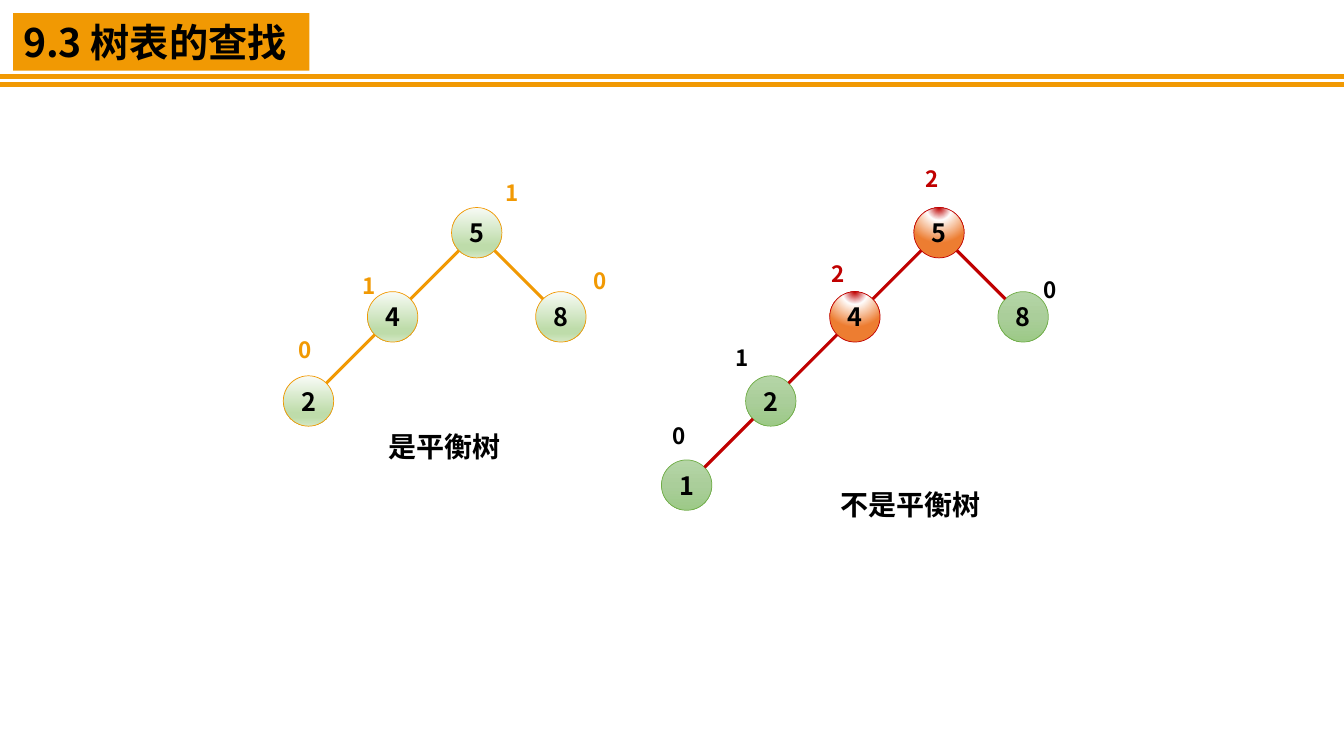
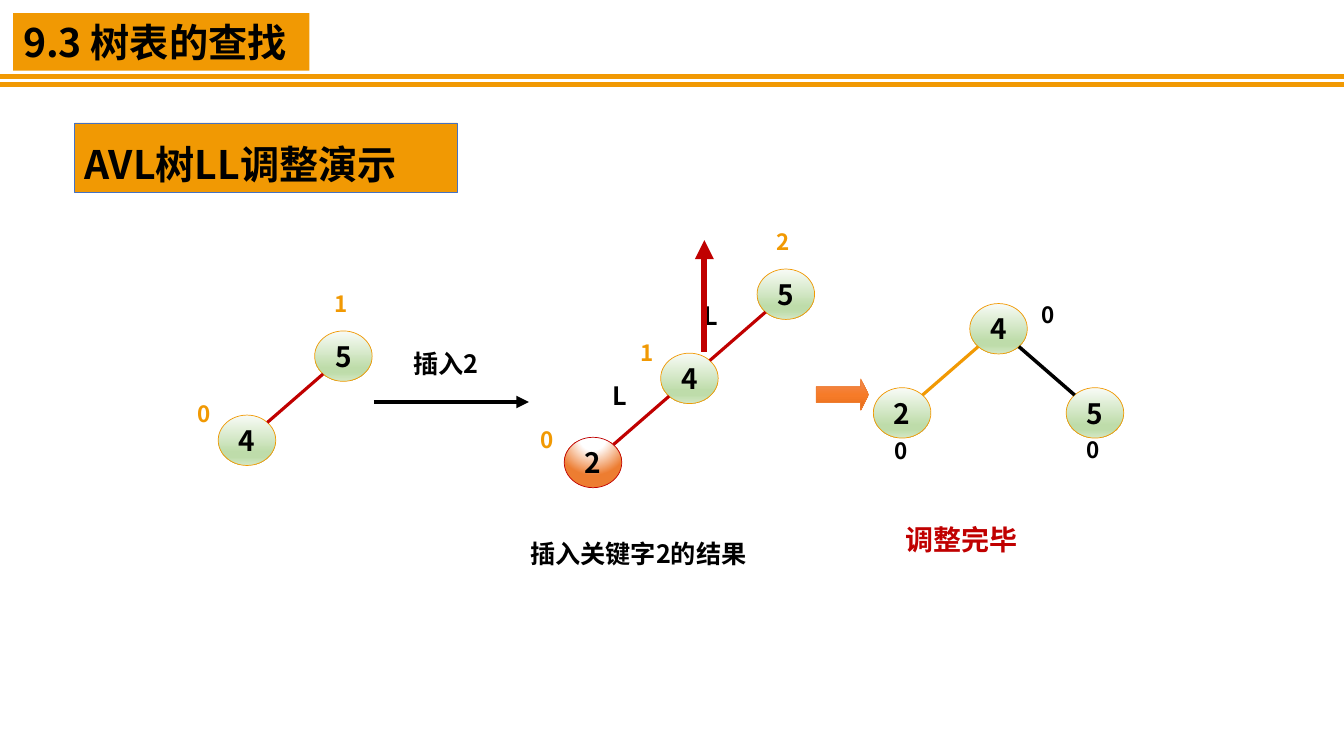
"""Build two slides on balanced search trees and the LL rotation."""
from collections import namedtuple
from math import sqrt

from pptx import Presentation
from pptx import util as u
from pptx.dml.color import RGBColor
from pptx.enum import shapes as kinds, text as t
from pptx.oxml import parse_xml
from pptx.oxml.ns import nsdecls, qn

FONT = "Noto Sans CJK SC"
WIDTH, HEIGHT = 33.87, 19.05
COLOURS = {
    "orange": "F19903", "red": "C00000", "black": "000000",
    "green": "70AD47", "blue": "4472C4", "rust": "ED7D31",
}
LINEAR = '<a:lin ang="5400000" scaled="0"/>'
RADIAL = ('<a:path path="circle"><a:fillToRect l="50000" t="-80000" '
          'r="50000" b="180000"/></a:path>')
GRADIENTS = {
    "pale": ([(0, "F8FBF6"), (74, "BEDCAA"), (83, "BEDCAA"), (100, "D4E8C6")], LINEAR),
    "leaf": ([(0, "B5D5A7"), (50, "AACE9A"), (100, "9CC987")], LINEAR),
    "alert": ([(0, "C00000"), (35, "FFFFFF"), (100, "ED7D31")], RADIAL),
    "inserted": ([(0, "FFFFFF"), (35, "FFFFFF"), (100, "ED7D31")], RADIAL),
    "arrow": ([(0, "F18C57"), (50, "F67B28"), (100, "E56C19")], LINEAR),
}
NODE_STYLES = {
    "pale": ("pale", "orange"), "leaf": ("leaf", "green"),
    "alert": ("alert", "red"), "inserted": ("inserted", "red"),
}
Node = namedtuple("Node", "key column row style factor shift colour")
Grid = namedtuple("Grid", "width height step_x step_y size")
SMALL_GRID = Grid(1.27, 1.27, 2.12, 2.12, 18)
WIDE_GRID = Grid(1.45, 1.27, 2.43, 2.12, 20)


def colour_of(name):
    """Return the colour of a palette name."""
    return RGBColor.from_string(COLOURS[name])


def write(shape, content, size=18, colour="black", align=t.PP_ALIGN.LEFT,
          anchor=t.MSO_ANCHOR.TOP, margins=(0.25, 0.13), wrap=True, spacing=None):
    """Write one formatted paragraph into a shape."""
    frame = shape.text_frame
    frame.auto_size = t.MSO_AUTO_SIZE.NONE
    frame.word_wrap = wrap
    frame.vertical_anchor = anchor
    frame.margin_left = frame.margin_right = u.Cm(margins[0])
    frame.margin_top = frame.margin_bottom = u.Cm(margins[1])
    paragraph = frame.paragraphs[0]
    paragraph.alignment = align
    paragraph.line_spacing = spacing
    run = paragraph.add_run()
    run.text = content
    run.font.name = FONT
    run.font.size = u.Pt(size)
    run.font.bold = True
    run.font.color.rgb = colour_of(colour)
    east_asian = parse_xml(f'<a:ea {nsdecls("a")} typeface="{FONT}"/>')
    run.font._element.find(qn("a:latin")).addnext(east_asian)


def add_label(shapes, content, left, top, width, height, **style):
    """Add a text box."""
    box = shapes.add_textbox(u.Cm(left), u.Cm(top), u.Cm(width), u.Cm(height))
    write(box, content, **style)


def add_block(shapes, kind, left, top, width, height, line, fill=None, gradient=None):
    """Add a preset shape with a plain or gradient fill and a thin outline."""
    shape = shapes.add_shape(kind, u.Cm(left), u.Cm(top), u.Cm(width), u.Cm(height))
    shape.shadow.inherit = False
    if gradient:
        stops, direction = GRADIENTS[gradient]
        marks = "".join(f'<a:gs pos="{place * 1000}"><a:srgbClr val="{value}"/></a:gs>'
                        for place, value in stops)
        outline = shape.element.spPr.find(qn("a:prstGeom"))
        outline.addnext(parse_xml(f'<a:gradFill {nsdecls("a")} rotWithShape="1">'
                                  f'<a:gsLst>{marks}</a:gsLst>{direction}</a:gradFill>'))
    else:
        shape.fill.solid()
        shape.fill.fore_color.rgb = colour_of(fill)
    shape.line.color.rgb = colour_of(line)
    shape.line.width = u.Pt(0.5)
    return shape


def add_line(shapes, start, end, colour, width, arrow=False):
    """Add a straight line, with an arrowhead at its end if wanted."""
    line = shapes.add_connector(kinds.MSO_CONNECTOR.STRAIGHT,
                                *(u.Cm(value) for value in (*start, *end)))
    line.line.color.rgb = colour_of(colour)
    line.line.width = u.Pt(width)
    if arrow:
        line.line._get_or_add_ln().append(
            parse_xml(f'<a:tailEnd {nsdecls("a")} type="triangle"/>'))
    line.element.spPr.append(parse_xml(f'<a:effectLst {nsdecls("a")}/>'))
    return line


def add_tree(slide, left, top, grid, nodes, edges):
    """Draw a tree as a group, with its root node's box at left and top."""
    shapes = slide.shapes.add_group_shape().shapes
    corners = {}
    for node in nodes:
        x = left + node.column * grid.step_x
        y = top + node.row * grid.step_y
        corners[node.key] = x, y
        gradient, line = NODE_STYLES[node.style]
        circle = add_block(shapes, kinds.MSO_SHAPE.OVAL, x, y, grid.width, grid.height,
                           line, gradient=gradient)
        write(circle, node.key, size=grid.size, align=t.PP_ALIGN.CENTER,
              anchor=t.MSO_ANCHOR.MIDDLE, wrap=False)
    reach_x, reach_y = (side / 2 * sqrt(0.5) for side in (grid.width, grid.height))
    for parent, child, colour, width in edges:
        (px, py), (cx, cy) = ((x + grid.width / 2, y + grid.height / 2)
                              for x, y in (corners[parent], corners[child]))
        side = 1 if cx > px else -1
        add_line(shapes, (px + side * reach_x, py + reach_y),
                 (cx - side * reach_x, cy - reach_y), colour, width)
    for node in nodes:
        x, y = corners[node.key]
        add_label(shapes, node.factor, x + node.shift[0], y + node.shift[1] - 0.1,
                  0.5, 0.8, size=16, colour=node.colour, margins=(0, 0))


def add_bands(slide):
    """Put the double rule on the layout that the slides share."""
    for height in (1.93, 2.13):
        rule = add_line(slide.shapes, (0, height), (WIDTH, height), "orange", 3)
        slide.slide_layout.shapes.element.append(rule.element)


def add_titled_slide(presentation):
    """Add a slide with the section title on its orange plate."""
    slide = presentation.slides.add_slide(presentation.slide_layouts[5])
    title = slide.shapes.title
    title.left, title.top = u.Cm(0.33), u.Cm(0.33)
    title.width, title.height = u.Cm(7.47), u.Cm(1.45)
    title.fill.solid()
    title.fill.fore_color.rgb = colour_of("orange")
    write(title, "9.3 树表的查找", size=28, anchor=t.MSO_ANCHOR.MIDDLE)
    return slide


def build_comparison(slide):
    """Set a balanced tree beside an unbalanced one."""
    add_tree(slide, 11.38, 5.23, SMALL_GRID, [
        Node("5", 0, 0, "pale", "1", (1.37, -0.61), "orange"),
        Node("4", -1, 1, "pale", "1", (-0.13, -0.38), "orange"),
        Node("8", 1, 1, "pale", "0", (1.45, -0.51), "orange"),
        Node("2", -2, 2, "pale", "0", (0.38, -0.91), "orange"),
    ], [(*pair, "orange", 2.25) for pair in ("54", "42", "58")])
    add_label(slide.shapes, "是平衡树", 9.53, 10.7, 4.24, 1.2, size=20)
    add_tree(slide, 23.03, 5.23, SMALL_GRID, [
        Node("5", 0, 0, "alert", "2", (0.3, -0.97), "red"),
        Node("4", -1, 1, "alert", "2", (0.05, -0.69), "red"),
        Node("8", 1, 1, "leaf", "0", (1.14, -0.28), "black"),
        Node("2", -2, 2, "leaf", "1", (-0.25, -0.71), "black"),
        Node("1", -3, 3, "leaf", "0", (0.28, -0.84), "black"),
    ], [(*pair, "red", 2.25) for pair in ("54", "42", "21", "58")])
    add_label(slide.shapes, "不是平衡树", 20.93, 12.15, 7.42, 1.2, size=20)


def build_rotation(slide):
    """Show the LL rotation in three steps from left to right."""
    heading = add_block(slide.shapes, kinds.MSO_SHAPE.RECTANGLE, 1.88, 3.1, 9.65, 1.75,
                        "blue", fill="orange")
    write(heading, "AVL树LL调整演示", size=28, spacing=1.25)

    add_tree(slide, 7.93, 8.34, WIDE_GRID, [
        Node("5", 0, 0, "pale", "1", (0.51, -0.94), "orange"),
        Node("4", -1, 1, "pale", "0", (-0.53, -0.28), "orange"),
    ], [("5", "4", "red", 2.25)])
    add_label(slide.shapes, "插入2", 10.16, 8.65, 3.23, 1.1)
    add_line(slide.shapes, (9.42, 10.13), (13.33, 10.13), "black", 3, arrow=True)

    add_tree(slide, 19.08, 6.78, WIDE_GRID, [
        Node("5", 0, 0, "pale", "2", (0.48, -0.94), "orange"),
        Node("4", -1, 1, "pale", "1", (-0.51, -0.25), "orange"),
        Node("2", -2, 2, "inserted", "0", (-0.61, -0.18), "orange"),
    ], [(*pair, "red", 2.25) for pair in ("54", "42")])
    for left, top in ((17.48, 7.44), (15.19, 9.45)):
        add_label(slide.shapes, "L", left, top, 0.91, 1.1)
    add_label(slide.shapes, "插入关键字2的结果", 13.11, 13.43, 8.03, 1.1)
    add_line(slide.shapes, (17.75, 8.86), (17.75, 6.05), "red", 4.5, arrow=True)

    turn = add_block(slide.shapes, kinds.MSO_SHAPE.RIGHT_ARROW, 20.57, 9.55, 1.32, 0.79,
                     "rust", gradient="arrow")
    turn.adjustments[0], turn.adjustments[1] = 0.5, 0.25
    add_tree(slide, 24.44, 7.65, WIDE_GRID, [
        Node("4", 0, 0, "pale", "0", (1.8, 0.05), "black"),
        Node("2", -1, 1, "pale", "0", (0.53, 1.35), "black"),
        Node("5", 1, 1, "pale", "0", (0.51, 1.32), "black"),
    ], [("4", "2", "orange", 2.25), ("4", "5", "black", 2.5)])
    add_label(slide.shapes, "调整完毕", 22.58, 13.04, 5.51, 1.2, size=20, colour="red")


def main():
    """Build the presentation and save it."""
    presentation = Presentation()
    presentation.slide_width = u.Cm(WIDTH)
    presentation.slide_height = u.Cm(HEIGHT)
    comparison, rotation = (add_titled_slide(presentation) for _ in range(2))
    add_bands(comparison)
    build_comparison(comparison)
    build_rotation(rotation)
    presentation.save("out.pptx")


if __name__ == "__main__":
    main()
